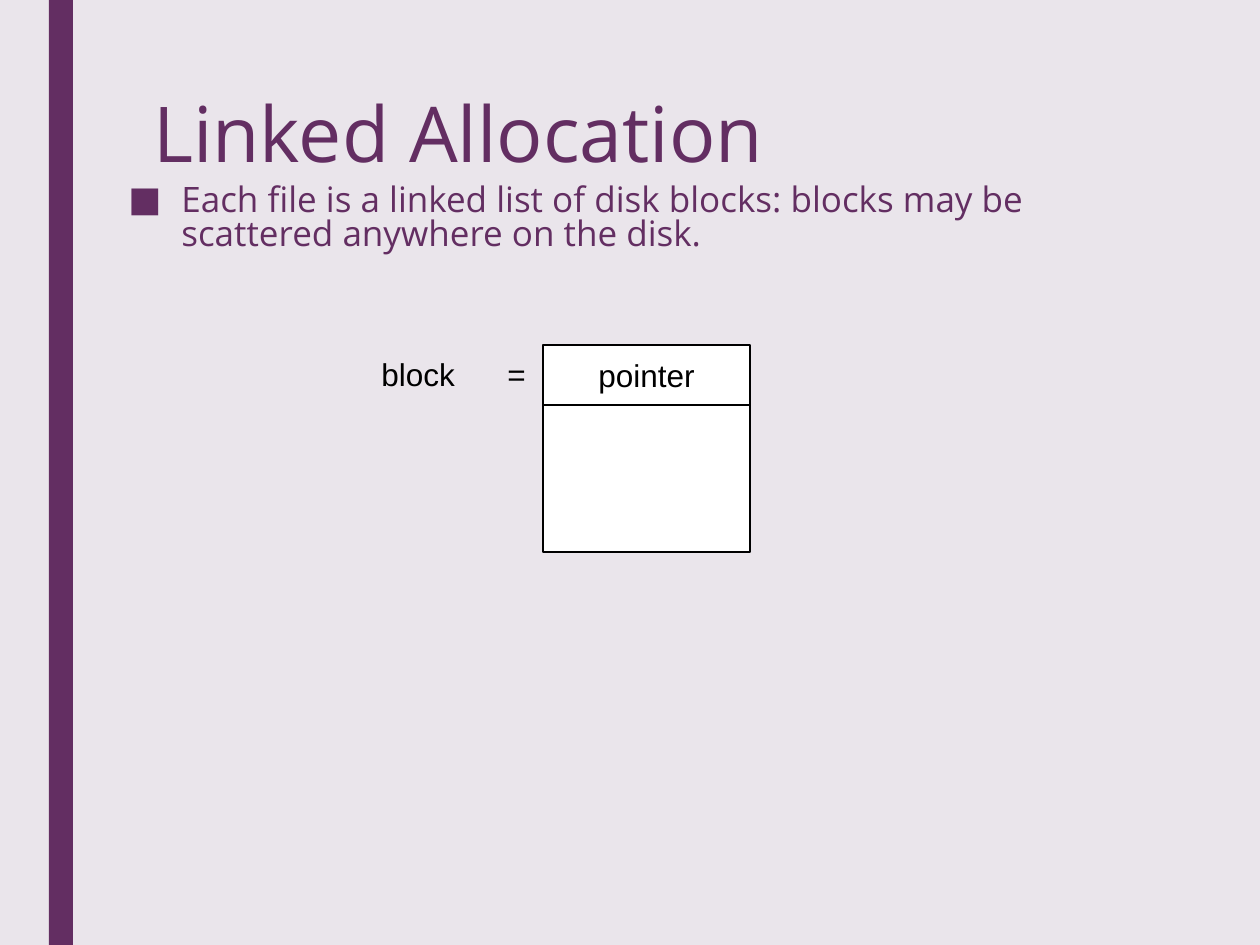
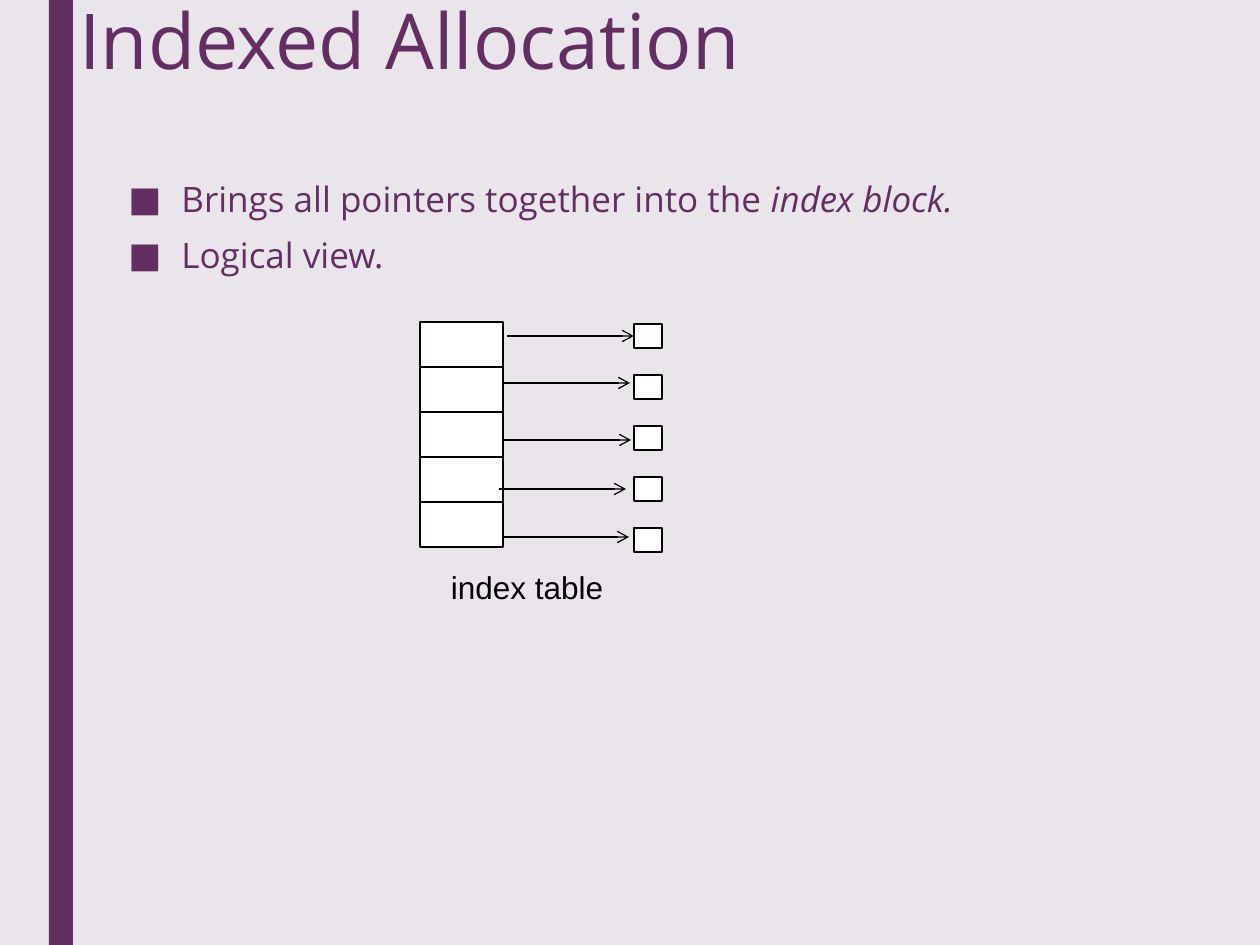
import pptx
import pptx.dml.color
import pptx.enum.shapes
import pptx.enum.text
import pptx.oxml.ns
import pptx.util
import lxml.etree

PIXELS_PER_INCH = 126
SLIDE_WIDTH, SLIDE_HEIGHT = 1260, 945
PURPLE, PALE, WHITE, BLACK = "632E62", "EAE5EB", "FFFFFF", "000000"
HEADING_FONT, LABEL_FONT = "Open Sans", "Arial"
LINE_WIDTH = pptx.util.Pt(0.75)
MIDDLE = pptx.enum.text.MSO_ANCHOR.MIDDLE
CENTER = pptx.enum.text.PP_ALIGN.CENTER


def px(length):
    return pptx.util.Emu(round(length * 914400 / PIXELS_PER_INCH))


def color(hex_string):
    return pptx.dml.color.RGBColor.from_string(hex_string)


def add_xml(parent, tag, **attributes):
    return lxml.etree.SubElement(parent, pptx.oxml.ns.qn(tag), **attributes)


def add_run(paragraph, text, size, font, hex_string, italic=False):
    run = paragraph.add_run()
    run.text = text
    run.font.size = pptx.util.Pt(size)
    run.font.name = font
    run.font.italic = italic
    run.font.color.rgb = color(hex_string)


def add_box(slide, left, top, width, height, fill=WHITE, line=BLACK):
    shape = slide.shapes.add_shape(
        pptx.enum.shapes.MSO_SHAPE.RECTANGLE, px(left), px(top), px(width), px(height))
    shape.shadow.inherit = False
    shape.fill.solid()
    shape.fill.fore_color.rgb = color(fill)
    if line:
        shape.line.color.rgb = color(line)
        shape.line.width = LINE_WIDTH
    else:
        shape.line.fill.background()
    return shape


def add_text_box(slide, left, top, width, height, wrap=True):
    shape = slide.shapes.add_textbox(px(left), px(top), px(width), px(height))
    shape.text_frame.word_wrap = wrap
    return shape.text_frame


def write_label(frame, text, alignment=CENTER):
    frame.vertical_anchor = MIDDLE
    paragraph = frame.paragraphs[0]
    paragraph.alignment = alignment
    add_run(paragraph, text, 18, LABEL_FONT, BLACK)
    return paragraph


def add_title(slide, text, left, top, width, height):
    paragraph = add_text_box(slide, left, top, width, height).paragraphs[0]
    paragraph.line_spacing = 0.85
    add_run(paragraph, text, 44, HEADING_FONT, PURPLE)


def add_bullets(slide, height, items):
    frame = add_text_box(slide, 116, 176, 1013, height)
    frame.margin_top = px(9)
    for index, runs in enumerate(items):
        paragraph = frame.add_paragraph() if index else frame.paragraphs[0]
        paragraph.line_spacing = 0.82
        paragraph.space_before = pptx.util.Pt(10)
        paragraph.space_after = pptx.util.Pt(2)
        properties = paragraph._p.get_or_add_pPr()
        properties.set("marL", str(px(53)))
        properties.set("indent", str(px(-53)))
        add_xml(properties, "a:buFont", typeface=HEADING_FONT)
        add_xml(properties, "a:buChar", char="■")
        for text, italic in runs:
            add_run(paragraph, text, 20, HEADING_FONT, PURPLE, italic)


def add_arrow(slide, left, y, length):
    connector = slide.shapes.add_connector(
        pptx.enum.shapes.MSO_CONNECTOR.STRAIGHT, px(left), px(y), px(left + length), px(y))
    connector.line.color.rgb = color(BLACK)
    connector.line.width = LINE_WIDTH
    add_xml(connector.line._get_or_add_ln(), "a:tailEnd", type="arrow")
    add_xml(connector._element.spPr, "a:effectLst")


def add_base_slide(presentation):
    slide = presentation.slides.add_slide(presentation.slide_layouts[6])
    slide.background.fill.solid()
    slide.background.fill.fore_color.rgb = color(PALE)
    add_box(slide, 49, 0, 24, SLIDE_HEIGHT, PURPLE, None)
    return slide


def build_linked_allocation(presentation):
    slide = add_base_slide(presentation)
    add_title(slide, "Linked Allocation", 141, 94, 993, 204)
    add_bullets(slide, 102, [
        [("Each file is a linked list of disk blocks: blocks may be "
          "scattered anywhere on the disk.", False)],
    ])
    pointer = add_box(slide, 543, 345, 207, 60)
    pointer.text_frame.word_wrap = False
    write_label(pointer.text_frame, "pointer")
    add_box(slide, 543, 405, 207, 147)
    block_label = add_text_box(slide, 369, 349, 180, 50)
    paragraph = write_label(block_label, "block\t=", pptx.enum.text.PP_ALIGN.LEFT)
    tabs = add_xml(paragraph._p.get_or_add_pPr(), "a:tabLst")
    add_xml(tabs, "a:tab", pos=str(px(126)), algn="l")


def build_indexed_allocation(presentation):
    slide = add_base_slide(presentation)
    add_title(slide, "Indexed Allocation", 67, 0, 1029, 158)
    add_bullets(slide, 129, [
        [("Brings all pointers together into the ", False), ("index block.", True)],
        [("Logical view.", False)],
    ])
    arrow_starts = [(507, 336), (503, 383), (504, 440), (499, 489), (502, 537)]
    for row, (arrow_left, arrow_y) in enumerate(arrow_starts):
        add_box(slide, 420, 322 + 45 * row, 83, 45)
        add_box(slide, 634, 324 + 51 * row, 28, 24)
        add_arrow(slide, arrow_left, arrow_y, 127)
    write_label(add_text_box(slide, 438, 562, 178, 50, wrap=False), "index table")


def main():
    presentation = pptx.Presentation()
    presentation.slide_width = px(SLIDE_WIDTH)
    presentation.slide_height = px(SLIDE_HEIGHT)
    build_linked_allocation(presentation)
    build_indexed_allocation(presentation)
    presentation.save("out.pptx")


if __name__ == "__main__":
    main()
